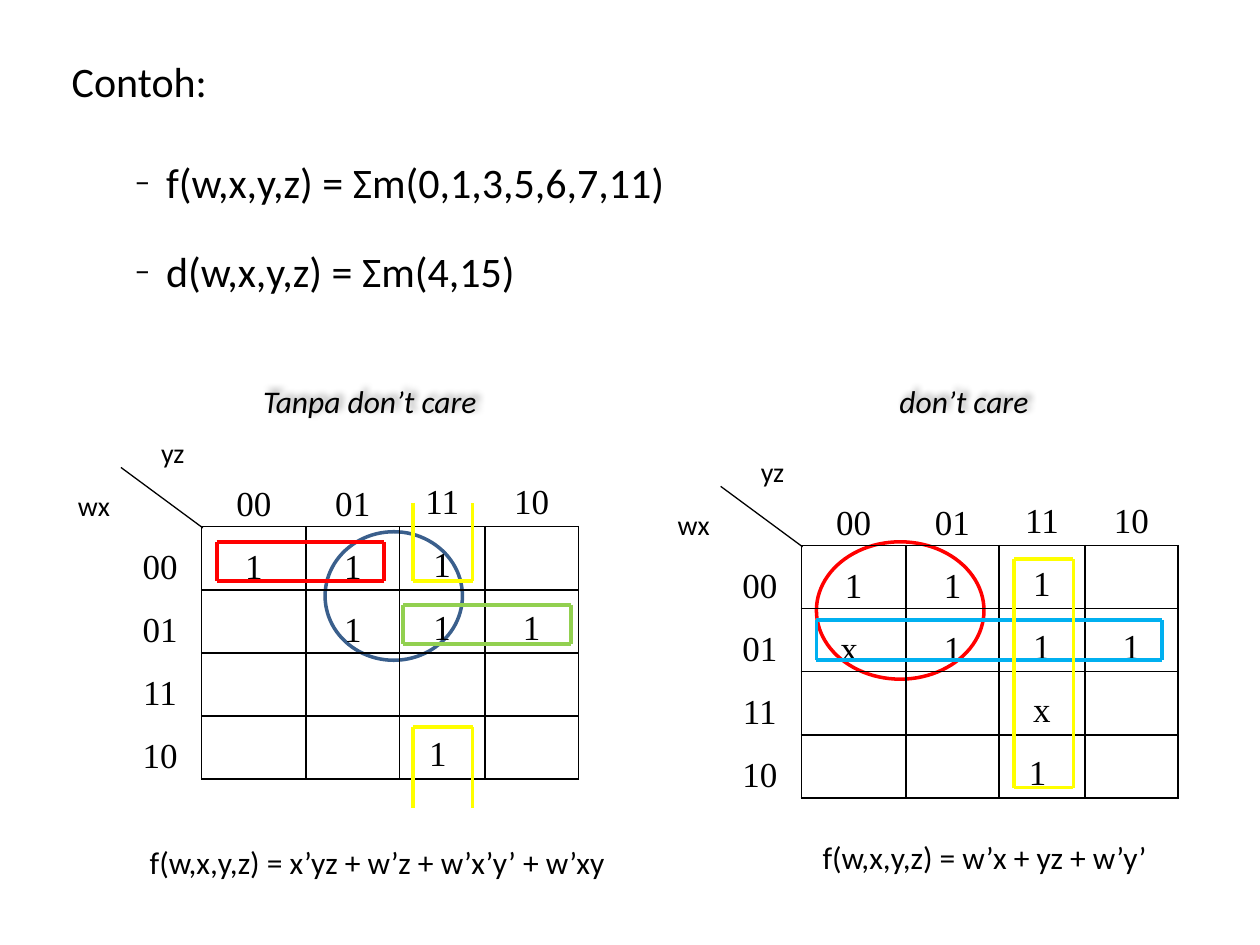
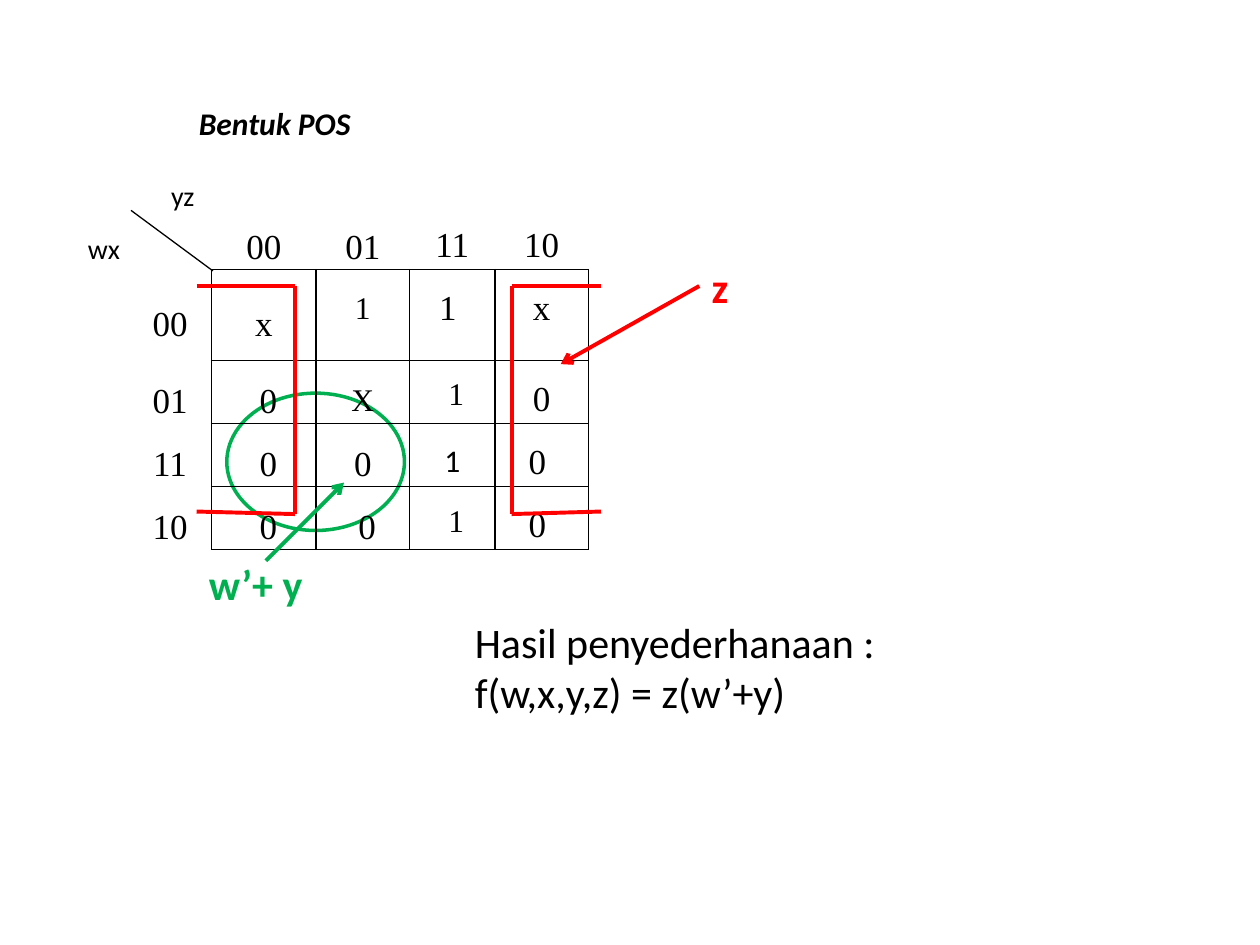
import dataclasses
import itertools

import pptx
import pptx.dml.color
import pptx.enum.shapes
import pptx.enum.text
import pptx.oxml.ns
import pptx.util
from lxml import etree

GRID_COLUMNS, GRID_ROWS = 100, 75
ALIGN = pptx.enum.text.PP_ALIGN
ANCHOR = pptx.enum.text.MSO_ANCHOR
SHAPES = pptx.enum.shapes.MSO_SHAPE


@dataclasses.dataclass(frozen=True)
class Theme:
    black: str = "000000"
    white: str = "FFFFFF"
    red: str = "FF0000"
    navy: str = "3A5F8C"
    lime: str = "92D050"
    yellow: str = "FFFF00"
    sky: str = "00B0F0"
    green: str = "00B050"
    body_font: str = "Calibri"
    map_font: str = "Times New Roman"
    large: int = 24
    digit: int = 20
    normal: int = 18
    axis: int = 16
    group_line: float = 2.25
    oval_line: float = 2
    thin_line: float = 0.75
    border: float = 1


def rgb(color):
    return pptx.dml.color.RGBColor.from_string(color)


def add_child(parent, tag, **attributes):
    return etree.SubElement(parent, pptx.oxml.ns.qn(tag), attributes)


class Deck:
    """Holds the theme and the slide being drawn; lengths are grid units."""

    map_columns = (6.6, 8.3, 7.4, 6.8, 7.4)
    gray_code = ("00", "01", "11", "10")

    def __init__(self, theme):
        self.theme = theme
        self.presentation = pptx.Presentation()
        self.presentation.slide_width = pptx.util.Inches(10)
        self.presentation.slide_height = pptx.util.Inches(7.5)
        self.slide = None

    def new_slide(self):
        layout = self.presentation.slide_layouts[6]
        self.slide = self.presentation.slides.add_slide(layout)

    def across(self, columns):
        return round(self.presentation.slide_width * columns / GRID_COLUMNS)

    def down(self, rows):
        return round(self.presentation.slide_height * rows / GRID_ROWS)

    def frame(self, left, top, width, height):
        return (self.across(left), self.down(top),
                self.across(width), self.down(height))

    def format_runs(self, paragraph, size, color=None, font=None,
                    bold=False, italic=False):
        for run in paragraph.runs:
            run.font.size = pptx.util.Pt(size)
            run.font.name = font or self.theme.body_font
            run.font.color.rgb = rgb(color or self.theme.black)
            run.font.bold = bold
            run.font.italic = italic

    def text(self, box, content, size, **style):
        shape = self.slide.shapes.add_textbox(*self.frame(*box))
        shape.text_frame.word_wrap = True
        shape.text_frame.text = content
        for paragraph in shape.text_frame.paragraphs:
            self.format_runs(paragraph, size, **style)
        return shape

    def shadowed_caption(self, box, content):
        shape = self.text(box, content, self.theme.normal, italic=True)
        effects = add_child(shape.element.spPr, "a:effectLst")
        shadow = add_child(effects, "a:outerShdw", blurRad="50800",
                           dist="38100", dir="18900000")
        color = add_child(shadow, "a:srgbClr", val=self.theme.black)
        add_child(color, "a:alpha", val="40000")

    def dash_item(self, paragraph, space_before):
        paragraph.space_before = pptx.util.Pt(space_before)
        properties = paragraph._p.get_or_add_pPr()
        properties.set("marL", str(self.across(7.5)))
        properties.set("indent", str(-self.across(2.5)))
        add_child(properties, "a:buSzPct", val="75000")
        add_child(properties, "a:buFont", typeface=self.theme.body_font)
        add_child(properties, "a:buChar", char="–")

    def oval(self, box, color, filled=True):
        shape = self.slide.shapes.add_shape(SHAPES.OVAL, *self.frame(*box))
        shape.shadow.inherit = False
        if filled:
            shape.fill.solid()
            shape.fill.fore_color.rgb = rgb(self.theme.white)
        else:
            shape.fill.background()
        shape.line.color.rgb = rgb(color)
        shape.line.width = pptx.util.Pt(self.theme.oval_line)

    def line(self, start, end, color, width=None, arrow=False):
        connector = self.slide.shapes.add_connector(
            pptx.enum.shapes.MSO_CONNECTOR.STRAIGHT,
            self.across(start[0]), self.down(start[1]),
            self.across(end[0]), self.down(end[1]))
        connector.line.color.rgb = rgb(color)
        connector.line.width = pptx.util.Pt(width or self.theme.group_line)
        if arrow:
            add_child(connector.line._get_or_add_ln(), "a:tailEnd",
                      type="arrow")
        add_child(connector.element.spPr, "a:effectLst")

    def bracket(self, color, *points):
        for start, end in itertools.pairwise(points):
            self.line(start, end, color)

    def loop(self, color, left, top, right, bottom):
        self.bracket(color, (left, top), (right, top), (right, bottom),
                     (left, bottom), (left, top))

    def axis_label(self, left, top, content):
        shape = self.slide.shapes.add_shape(
            SHAPES.RECTANGLE, *self.frame(left, top, 4.7, 4.2))
        shape.shadow.inherit = False
        shape.fill.solid()
        shape.fill.fore_color.rgb = rgb(self.theme.white)
        shape.line.fill.background()
        shape.text_frame.vertical_anchor = ANCHOR.TOP
        shape.text_frame.text = content
        paragraph = shape.text_frame.paragraphs[0]
        paragraph.alignment = ALIGN.LEFT
        paragraph.space_after = pptx.util.Pt(10)
        self.format_runs(paragraph, self.theme.axis)

    def cell_borders(self, cell, row, column):
        inside = row > 0 and column > 0
        visible = {"L": inside, "R": inside or row > 0,
                   "T": inside, "B": inside or column > 0}
        properties = cell._tc.get_or_add_tcPr()
        for position, (side, shown) in enumerate(visible.items()):
            border = add_child(properties, f"a:ln{side}")
            properties.insert(position, border)  # borders precede the fill
            if shown:
                border.set("w", str(pptx.util.Pt(self.theme.border)))
                fill = add_child(border, "a:solidFill")
                add_child(fill, "a:srgbClr", val=self.theme.black)
            else:
                add_child(border, "a:noFill")

    def karnaugh_map(self, left, top, values, first_row=5, styles=None):
        """Draw the grid, its Gray code headings and the yz / wx corner."""
        heights = (5, first_row, 5, 5, 5)
        rows = [("",) + self.gray_code]
        rows += [(code, *line) for code, line in zip(self.gray_code, values)]
        table = self.slide.shapes.add_table(
            5, 5, *self.frame(left, top, sum(self.map_columns),
                              sum(heights))).table
        table.first_row = table.horz_banding = False
        for column, width in zip(table.columns, self.map_columns):
            column.width = self.across(width)
        for row, height in zip(table.rows, heights):
            row.height = self.down(height)
        for row, column in itertools.product(range(5), repeat=2):
            cell = table.cell(row, column)
            cell.fill.background()
            self.cell_borders(cell, row, column)
            cell.margin_left = cell.margin_right = self.across(0.7)
            cell.margin_top = cell.margin_bottom = 0
            cell.vertical_anchor = ANCHOR.MIDDLE if column < 3 else ANCHOR.TOP
            cell.text_frame.text = rows[row][column]
            paragraph = cell.text_frame.paragraphs[0]
            paragraph.alignment = ALIGN.CENTER
            paragraph.line_spacing = 1.5
            style = {"size": self.theme.digit, "font": self.theme.map_font}
            style.update((styles or {}).get((row, column), {}))
            self.format_runs(paragraph, **style)
        self.line((left + 0.2, top + 0.3), (left + 6.7, top + 5.1),
                  self.theme.black, self.theme.thin_line)
        self.axis_label(left + 2.4, top - 2.7, "yz")
        self.axis_label(left - 4.2, top + 1.5, "wx")
        return table


def sum_of_products_slide(deck):
    theme = deck.theme
    deck.new_slide()
    # Ovals lie behind the maps
    deck.oval((64.8, 43, 13.3, 10.9), theme.red)
    deck.oval((25.8, 42.2, 10.9, 10.2), theme.navy, filled=False)

    # Example functions
    example = deck.text((4.7, 3.9, 87.5, 23.2),
                        "Contoh:\nf(w,x,y,z) = Σm(0,1,3,5,6,7,11)\n"
                        "d(w,x,y,z) = Σm(4,15)", theme.large)
    for paragraph, gap in zip(example.text_frame.paragraphs[1:], (29, 22)):
        deck.dash_item(paragraph, gap)

    # Map without don't care terms
    deck.karnaugh_map(9.4, 36.8, [("1", "1", "1", ""), ("", "1", "1", "1"),
                                  ("", "", "", ""), ("", "", "1 ", "")])
    deck.loop(theme.red, 17.2, 43, 30.5, 46.1)
    deck.loop(theme.lime, 32, 48, 45.3, 51.1)
    for open_end, closed_end in ((39.9, 46.1), (64.1, 57.7)):
        deck.bracket(theme.yellow, (32.8, open_end), (32.8, closed_end),
                     (37.5, closed_end), (37.5, open_end))
    deck.shadowed_caption((19.9, 29.8, 20.2, 4), "Tanpa don’t care")

    # Map with don't care terms
    deck.karnaugh_map(57, 38.3, [("1", "1", "1", ""), ("x ", "1", "1", "1"),
                                 ("", "", "x", ""), ("", "", "1 ", "")])
    deck.shadowed_caption((70.4, 29.8, 15.9, 4), "don’t care")
    deck.loop(theme.sky, 64.8, 49.2, 92.2, 52.4)
    deck.loop(theme.yellow, 80.5, 44.4, 85.2, 62.5)

    # Simplified functions
    deck.text((10.9, 66.4, 41.4, 4),
              "f(w,x,y,z) = x’yz + w’z + w’x’y’ + w’xy", theme.normal)
    deck.text((64.3, 66, 28.9, 4), "f(w,x,y,z) = w’x + yz + w’y’",
              theme.normal)


def product_of_sums_slide(deck):
    theme = deck.theme
    deck.new_slide()
    deck.oval((18, 31.2, 14.1, 10.9), theme.green)
    deck.text((14.8, 7.8, 18, 4), "Bentuk POS", theme.normal,
              bold=True, italic=True)

    # Map of zeros
    small = {"size": theme.normal}
    table = deck.karnaugh_map(
        10.2, 16.4,
        [("x", "1", "1 ", "x"), (" 0", "X", " 1", "0"),
         (" 0", "0", "1", "0 "), (" 0", " 0", " 1", "0 ")],
        first_row=7.2,
        styles={(1, 2): small, (2, 2): small, (2, 3): small, (4, 3): small,
                (3, 3): {**small, "font": theme.body_font}})
    table.cell(1, 2).margin_bottom = deck.down(2.4)

    # Groups wrapping around the left and right edges
    for outer, inner in ((47.7, 40.6), (15.6, 23.4)):
        deck.bracket(theme.red, (outer, 22.7), (inner, 22.7),
                     (inner, 40.8), (outer, 40.6))

    # Factors and result
    deck.text((55.5, 20.3, 5.5, 5), "z", theme.large, color=theme.red,
              bold=True)
    deck.line((55.5, 22.7), (44.5, 28.9), theme.red, arrow=True)
    deck.line((21.1, 44.5), (27.3, 38.3), theme.green, arrow=True)
    deck.text((15.6, 43.8, 10.2, 5), "w’+ y", theme.large,
              color=theme.green, bold=True)
    deck.text((36.7, 48.4, 38.3, 9.1),
              "Hasil penyederhanaan :\nf(w,x,y,z) = z(w’+y)", theme.large)


def main():
    deck = Deck(Theme())
    sum_of_products_slide(deck)
    product_of_sums_slide(deck)
    deck.presentation.save("out.pptx")


if __name__ == "__main__":
    main()
